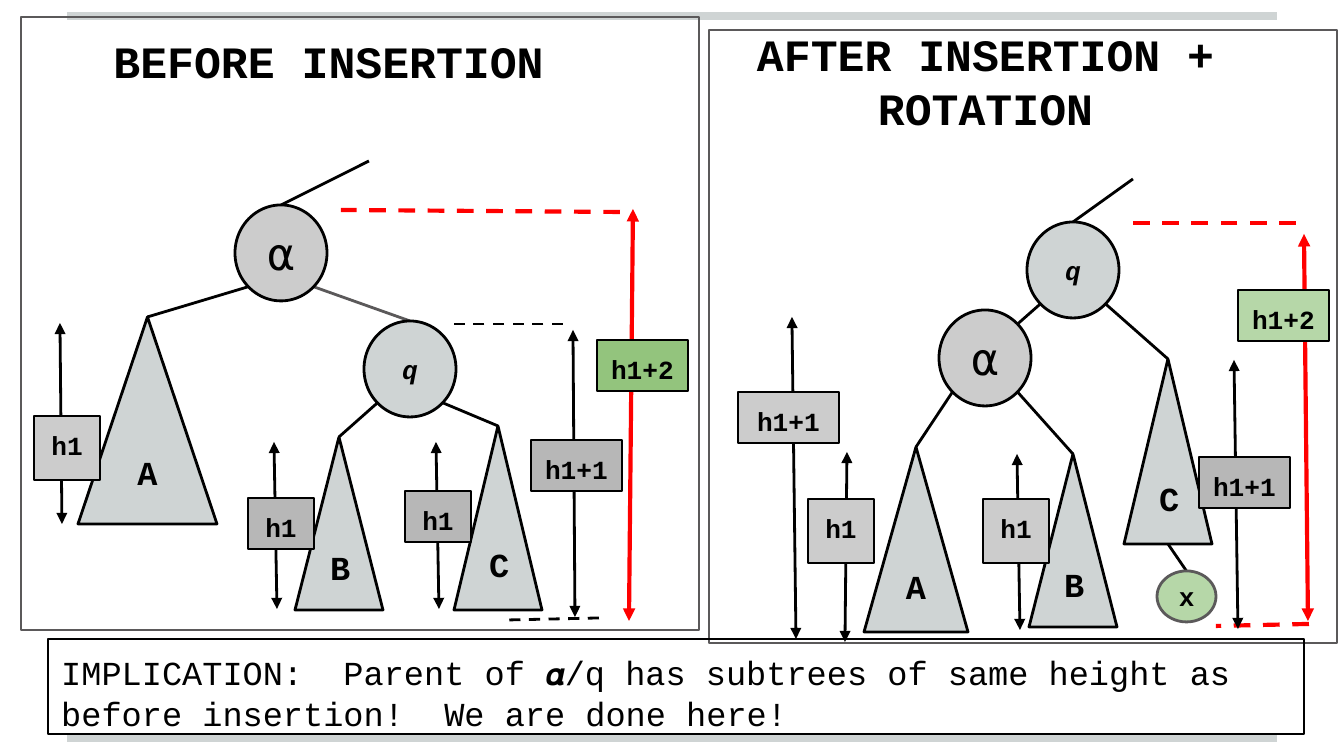
from pptx import Presentation
from pptx.dml.color import RGBColor
from pptx.enum.dml import MSO_LINE
from pptx.enum.shapes import MSO_CONNECTOR, MSO_SHAPE
from pptx.enum.text import MSO_ANCHOR, MSO_AUTO_SIZE, PP_ALIGN
from pptx.oxml.ns import qn
from pptx.util import Emu, Pt
from lxml import etree

RECT, OVAL, TRIANGLE = MSO_SHAPE.RECTANGLE, MSO_SHAPE.OVAL, MSO_SHAPE.ISOSCELES_TRIANGLE
STRAIGHT, DASH = MSO_CONNECTOR.STRAIGHT, MSO_LINE.DASH
TOP, MIDDLE = MSO_ANCHOR.TOP, MSO_ANCHOR.MIDDLE
LEFT, CENTER = PP_ALIGN.LEFT, PP_ALIGN.CENTER

THEME = {
    "font": "Courier New",
    "black": "000000", "red": "FF0000", "slate": "5B595A", "mist": "CFD4D4",
    "light": "CCCCCC", "gray": "B7B7B7", "green": "93C47D", "mint": "B6D7A8",
    "title": 24, "alpha": 24, "subtree": 18, "body": 18, "label": 14,
    "hair": 0.75, "thin": 1.5, "bold": 2.25, "bar": 4,
}

# Content, in pixels
BARS = [16, 738]
FRAMES = [(21, 17, 678, 613), (709, 30, 628, 613)]
TITLES = [("BEFORE INSERTION", (28, 20, 601, 104)),
          ("AFTER INSERTION + ROTATION", (685, 13, 601, 104))]
IMPLICATION = ("IMPLICATION:  Parent of \U0001D7AA/q has subtrees of same height as "
               "before insertion!  We are done here!")
IMPLICATION_BOX = (48, 639, 1256, 95)

NODE_SIZE = (92, 96)
ALPHAS = {"alpha1": (235, 205), "alpha2": (939, 310)}
QS = {"q1": (364, 321), "q2": (1027, 222)}
X_BOX = (1157, 571, 59, 51)
SUBTREES = {  # text, alignment, box
    "A1": ("A", CENTER, (78, 317, 139, 207)),
    "B1": ("B", LEFT, (295, 437, 88, 173)),
    "C1": ("C", LEFT, (454, 426, 88, 184)),
    "A2": ("A", CENTER, (864, 447, 104, 185)),
    "B2": ("B", LEFT, (1029, 454, 88, 173)),
    "C2": ("C", LEFT, (1124, 359, 88, 185)),
}
SITES = {"n": (0.5, 0), "s": (0.5, 1), "sw": (0.15, 0.85), "se": (0.85, 0.85), "ne": (0.85, 0.15)}
EDGES = [  # part, site, part, site, colour
    ("alpha1", "sw", "A1", "n", "black"), ("alpha1", "se", "q1", "n", "slate"),
    ("q1", "sw", "B1", "n", "black"), ("q1", "se", "C1", "n", "black"),
    ("q2", "sw", "alpha2", "ne", "black"), ("q2", "se", "C2", "n", "black"),
    ("alpha2", "sw", "A2", "n", "black"), ("alpha2", "se", "B2", "n", "black"),
    ("C2", "s", "x", "n", "black"),
]
PARENT_ENDS = {"alpha1": (369, 161), "q2": (1133, 179)}
DASHES = [  # x1, y1, x2, y2, colour, weight
    (563, 324, 453, 324, "black", "thin"), (599, 618, 508, 620, "black", "thin"),
    (620, 212, 341, 210, "red", "bold"), (1296, 223, 1125, 223, "red", "bold"),
    (1309, 624, 1216, 626, "red", "bold"),
]
HEIGHTS = [  # arrow, its colour and weight, label, fill, label box
    ((573, 330, 575, 617), "black", "thin", "h1+1", "gray", (531, 440, 91, 51)),
    ((436, 442, 439, 609), "black", "thin", "h1", "gray", (405, 491, 66, 51)),
    ((274, 442, 277, 609), "black", "thin", "h1", "gray", (248, 498, 66, 51)),
    ((60, 323, 62, 524), "black", "thin", "h1", "light", (34, 416, 66, 64)),
    ((633, 209, 629, 621), "red", "bold", "h1+2", "green", (597, 340, 91, 51)),
    ((847, 452, 845, 642), "black", "thin", "h1", "light", (808, 499, 66, 64)),
    ((1234, 360, 1238, 629), "black", "thin", "h1+1", "gray", (1199, 457, 91, 51)),
    ((1017, 454, 1020, 630), "black", "thin", "h1", "light", (983, 499, 66, 64)),
    ((792, 317, 796, 639), "black", "thin", "h1+1", "light", (738, 392, 101, 51)),
    ((1304, 234, 1308, 621), "red", "bold", "h1+2", "mint", (1238, 290, 91, 51)),
]


def px(n):
    return Emu(round(n * 914400 / 134.4))


def rgb(name):
    return RGBColor.from_string(THEME[name])


def write(sp, text, size, align=CENTER, anchor=TOP, **font):
    tf = sp.text_frame
    inset = px(13.44)
    frame = dict(word_wrap=True, auto_size=MSO_AUTO_SIZE.NONE, vertical_anchor=anchor,
                 margin_left=inset, margin_right=inset, margin_top=inset, margin_bottom=inset)
    for key, value in frame.items():
        setattr(tf, key, value)
    p = tf.paragraphs[0]
    p.alignment = align
    r = p.add_run()
    r.text = text
    for key, value in dict(name=THEME["font"], size=Pt(THEME[size]), **font).items():
        setattr(r.font, key, value)
    r.font.color.rgb = rgb("black")


def add_part(kind, box, fill=None, line="black", weight="thin"):
    sp = slide.shapes.add_shape(kind, *map(px, box))
    sp.shadow.inherit = False
    if fill:
        sp.fill.solid()
        sp.fill.fore_color.rgb = rgb(fill)
    else:
        sp.fill.background()
    sp.line.color.rgb = rgb(line)
    sp.line.width = Pt(THEME[weight])
    return sp


def add_line(x1, y1, x2, y2, color="black", weight="thin", dash=None, arrows=False):
    cx = slide.shapes.add_connector(STRAIGHT, *map(px, (x1, y1, x2, y2)))
    cx.line.color.rgb = rgb(color)
    cx.line.width = Pt(THEME[weight])
    if dash:
        cx.line.dash_style = dash
    if arrows:
        ln = cx.line._get_or_add_ln()
        for end in ("a:headEnd", "a:tailEnd"):
            etree.SubElement(ln, qn(end), type="triangle")
    etree.SubElement(cx._element.spPr, qn("a:effectLst"))


def site(part, name):
    x, y, w, h = boxes[part]
    fx, fy = SITES[name]
    return x + fx * w, y + fy * h


prs = Presentation()
prs.slide_width, prs.slide_height = px(1344), px(756)
slide = prs.slides.add_slide(prs.slide_layouts[5])

# Bars and frames
for y in BARS:
    add_line(67, y, 1277, y, "mist", "bar")
for box in FRAMES:
    add_part(RECT, box, line="slate", weight="hair")

# Headings: the first is the slide title
for i, (text, box) in enumerate(TITLES):
    place = [px(n) for n in box]
    sp = slide.shapes.add_textbox(*place) if i else slide.shapes.title
    sp.left, sp.top, sp.width, sp.height = place
    write(sp, text, "title", bold=True)

# Tree edges
boxes = {name: at + NODE_SIZE for name, at in (ALPHAS | QS).items()}
boxes |= {name: box for name, (_, _, box) in SUBTREES.items()}
boxes["x"] = X_BOX
for a, site_a, b, site_b, color in EDGES:
    add_line(*site(a, site_a), *site(b, site_b), color)
for root, end in PARENT_ENDS.items():
    add_line(*site(root, "n"), *end)

# Nodes and subtrees
for name in ALPHAS:
    write(add_part(OVAL, boxes[name], "light"), "\u237a", "alpha", anchor=MIDDLE)
for name in QS:
    write(add_part(OVAL, boxes[name], "mist"), "q", "label", anchor=MIDDLE, bold=True, italic=True)
for text, align, box in SUBTREES.values():
    write(add_part(TRIANGLE, box, "mist"), text, "subtree", align, MIDDLE, bold=True)
write(add_part(OVAL, X_BOX, "mint", "slate"), "x", "label", LEFT, MIDDLE, bold=True)

# Height marks
for *ends, color, weight in DASHES:
    add_line(*ends, color, weight, dash=DASH)
for ends, color, weight, text, fill, box in HEIGHTS:
    add_line(*ends, color, weight, arrows=True)
    write(add_part(RECT, box, fill, weight="hair"), text, "label", bold=True)

# Implication
write(add_part(RECT, IMPLICATION_BOX, weight="hair"), IMPLICATION, "body", LEFT)

prs.save("out.pptx")
